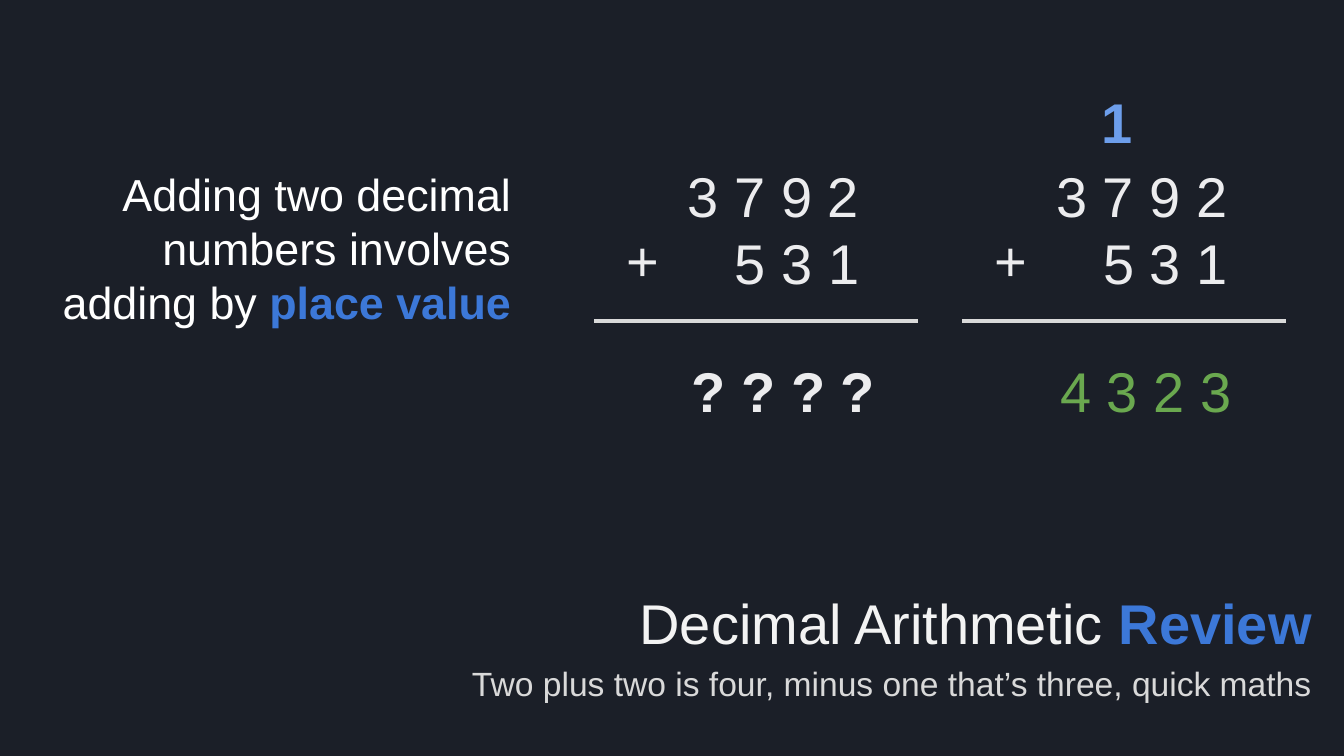
from pptx import Presentation
from pptx.dml.color import RGBColor
from pptx.enum.shapes import MSO_CONNECTOR
from pptx.enum.text import MSO_ANCHOR, MSO_AUTO_SIZE, PP_ALIGN
from pptx.oxml.ns import qn
from pptx.util import Inches, Pt
from lxml.etree import SubElement

HUES = {
    "back": "1B1F28", "title": "F3F3F3", "accent": "3C78D8", "rule": "D9D9D9",
    "digit": "ECECEE", "answer": "6AA84F", "carry": "6D9EEB", "body": "FFFFFF",
}
TITLE = [("Decimal Arithmetic ", "title", False), ("Review", "accent", True)]
TAGLINE = [("Two plus two is four, minus one that’s three, quick maths", "rule", False)]
LESSON = [
    ("Adding two decimal numbers involves adding by ", "body", False),
    ("place value", "accent", True),
]
TERMS = [[("3 7 9 2", "digit", False)], [("5 3 1", "digit", False)]]
SUMS = [
    [("? ? ? ?", "digit", True)],
    [("4 3 2 3", "answer", False)],
]
CARRY = [("1", "carry", True)]
LEFT, STEP = 4.42, 2.74


def color(name):
    return RGBColor.from_string(HUES[name])


def write(shape, box, lines, size, align=PP_ALIGN.LEFT, anchor=MSO_ANCHOR.TOP):
    shape.left, shape.top, shape.width, shape.height = map(Inches, box)
    frame = shape.text_frame
    frame.word_wrap = True
    frame.auto_size = MSO_AUTO_SIZE.NONE
    frame.vertical_anchor = anchor
    frame.margin_left = frame.margin_right = Inches(0.1)
    frame.margin_top = frame.margin_bottom = Inches(0.1)
    for i, line in enumerate(lines):
        para = frame.add_paragraph() if i else frame.paragraphs[0]
        para.alignment = align
        para.line_spacing = 1.0
        para.space_before = Pt(0)
        for text, hue, bold in line:
            run = para.add_run()
            run.text = text
            run.font.name = "Arial"
            run.font.size = Pt(size)
            run.font.bold = bold
            run.font.color.rgb = color(hue)
    return frame.paragraphs


def indent(para, margin, first):
    props = para._p.get_or_add_pPr()
    props.set("marL", str(Inches(margin)))
    props.set("indent", str(Inches(first)))
    return props


def add_plus(para):
    props = indent(para, 0.85, -0.81)
    tint = SubElement(props, qn("a:buClr"))
    SubElement(tint, qn("a:srgbClr"), val=HUES["digit"])
    SubElement(props, qn("a:buFont"), typeface="Arial")
    SubElement(props, qn("a:buChar"), char="+")


def add_text(slide, box, lines, size=30, **style):
    return write(slide.shapes.add_textbox(0, 0, 0, 0), box, lines, size, **style)


def add_rule(slide, left):
    ends = map(Inches, (left, 2.39, left + 2.41, 2.39))
    rule = slide.shapes.add_connector(MSO_CONNECTOR.STRAIGHT, *ends)
    rule.line.color.rgb = color("rule")
    rule.line.width = Pt(2.25)
    SubElement(rule._element.spPr, qn("a:effectLst"))


def main():
    deck = Presentation()
    deck.slide_width = Inches(10)
    deck.slide_height = deck.slide_width * 9 // 16
    slide = deck.slides.add_slide(deck.slide_layouts[0])
    slide.background.fill.solid()
    slide.background.fill.fore_color.rgb = color("back")

    write(slide.shapes.title, (0.54, 4.2, 9.32, 0.78), [TITLE], 30,
          align=PP_ALIGN.RIGHT, anchor=MSO_ANCHOR.BOTTOM)
    write(slide.placeholders[1], (0.54, 4.83, 9.32, 0.87), [TAGLINE], 18,
          align=PP_ALIGN.RIGHT)

    for i, total in enumerate(SUMS):
        left = LEFT + i * STEP
        top, low = add_text(slide, (left + 0.1, 1.1, 2.21, 1.25), TERMS)
        indent(top, 0, 0.5)
        add_plus(low)
        add_rule(slide, left)
        answer = add_text(slide, (left + 0.13, 2.55, 2.21, 0.67), [total])
        indent(answer[0], 0, 0.5)

    carry = add_text(slide, (7.6, 0.55, 0.86, 0.67), [CARRY])
    indent(carry[0], 0, 0.5)
    add_text(slide, (0.22, 1.14, 3.68, 0.81), [LESSON], 24, align=PP_ALIGN.RIGHT)
    deck.save("out.pptx")


if __name__ == "__main__":
    main()
